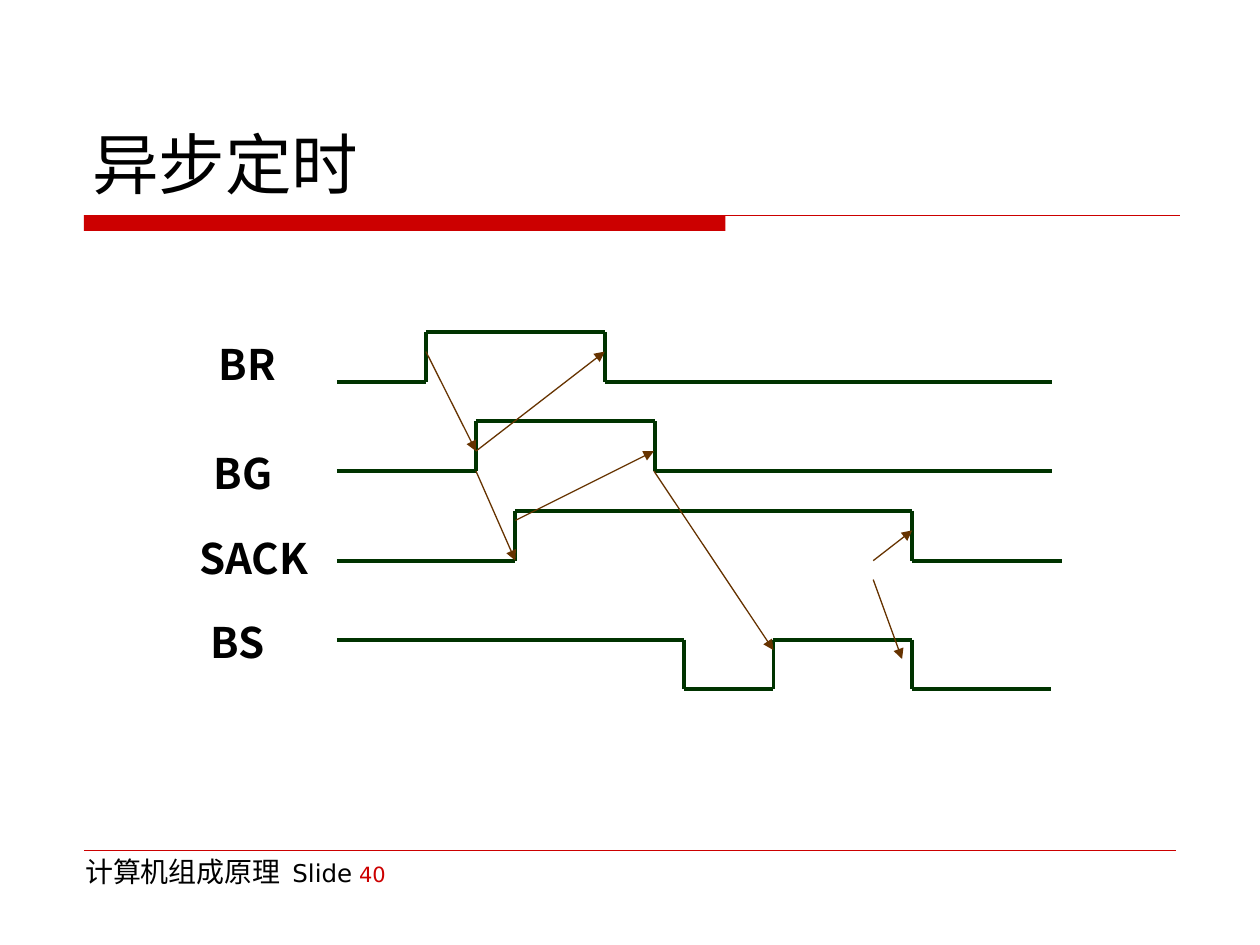
from itertools import pairwise

from lxml import etree
from pptx import Presentation
from pptx.dml.color import RGBColor
from pptx.enum.shapes import MSO_CONNECTOR as Connector, MSO_SHAPE as Shape
from pptx.enum.text import MSO_ANCHOR as Anchor, PP_ALIGN as Align
from pptx.oxml.ns import qn
from pptx.util import Pt

RED, GREEN, BROWN, BLACK = "CC0000", "003300", "663300", "000000"
SANS, CJK = "DejaVu Sans", "Noto Sans CJK SC"
SWING = 28.4  # height between the low and high signal levels

# name, label left, label top, low level, starts high, x of start, edges and end
SIGNALS = [
    ("BR", 79, 190, 218.3, False, (192.5, 243.4, 345.6, 601)),
    ("BG", 85, 252, 269.2, False, (192.5, 272, 374.4, 601)),
    ("SACK", 91, 301, 320.4, False, (192.5, 294.5, 521.3, 607)),
    ("BS", 73.5, 348.5, 393.9, True, (192.5, 391, 442, 521.3, 600.5)),
]
LABEL_WIDTH = {"BR": 124.6, "BG": 108, "SACK": 108, "BS": 124.6}
HANDSHAKES = [
    ((243.4, 200.9), (272, 257.8)),
    ((272, 269.2), (294.5, 320.4)),
    ((272, 257.8), (345.6, 200.9)),
    ((294.5, 297.4), (373.7, 257.8)),
    ((373.7, 269.2), (442, 371.5)),
    ((499, 320.4), (521.3, 303.1)),
    ((499, 331.2), (515.5, 376.6)),
]


def color(hex_code):
    return RGBColor.from_string(hex_code)


def add_line(page, start, end, hex_code, width, arrow=False):
    line = page.shapes.add_connector(
        Connector.STRAIGHT, *(Pt(value) for value in (*start, *end)))
    line.line.color.rgb = color(hex_code)
    line.line.width = Pt(width)
    if arrow:
        etree.SubElement(line.line._get_or_add_ln(), qn("a:tailEnd"), type="triangle")
    etree.SubElement(line._element.spPr, qn("a:effectLst"))


def add_span(para, text, size, font, hex_code=BLACK, bold=False):
    span = para.add_run()
    span.text = text
    span.font.size = Pt(size)
    span.font.name = font
    span.font.bold = bold
    span.font.color.rgb = color(hex_code)


def add_text_box(page, left, top, width, height):
    """Add a wrapping text box and return its first paragraph."""
    box = page.shapes.add_textbox(Pt(left), Pt(top), Pt(width), Pt(height))
    box.text_frame.word_wrap = True
    return box.text_frame.paragraphs[0]


def add_title(page, left, top, width, height):
    title = page.shapes.title
    title.left, title.top = Pt(left), Pt(top)
    title.width, title.height = Pt(width), Pt(height)
    title.text_frame.vertical_anchor = Anchor.BOTTOM
    para = title.text_frame.paragraphs[0]
    para.alignment = Align.LEFT
    add_span(para, "异步定时", 38, SANS)


def add_title_rule(page, left, top, width, height):
    bar = page.shapes.add_shape(
        Shape.RECTANGLE, Pt(left), Pt(top), Pt(width * 0.585), Pt(height))
    bar.shadow.inherit = False
    bar.fill.solid()
    bar.fill.fore_color.rgb = color(RED)
    bar.line.fill.background()
    add_line(page, (left, top), (left + width, top), RED, 0.75)


def add_footer(page, left, top, width):
    add_line(page, (left, top), (left + width, top), RED, 0.25)
    para = add_text_box(page, left - 6.4, top - 1.4, 216, 37.4)
    add_span(para, "计算机组成原理 ", 16, SANS)
    add_span(para, " Slide", 14, SANS)
    add_span(para, " ", 12, SANS)
    add_span(para, "40", 12, SANS, RED)


def add_signal(page, low, high, edges):
    """Draw a level for each interval and a vertical edge at each change."""
    level, other = (low - SWING, low) if high else (low, low - SWING)
    for start, end in pairwise(edges):
        if start != edges[0]:
            add_line(page, (start, other), (start, level), GREEN, 2.25)
        add_line(page, (start, level), (end, level), GREEN, 2.25)
        level, other = other, level


def add_timing_diagram(page):
    for name, left, top, low, high, edges in SIGNALS:
        para = add_text_box(page, left, top, LABEL_WIDTH[name], 36)
        para.alignment = Align.CENTER
        add_span(para, name, 24, CJK, bold=True)
        add_signal(page, low, high, edges)
    for start, end in HANDSHAKES:
        add_line(page, start, end, BROWN, 0.75, arrow=True)


def main():
    deck = Presentation()
    deck.slide_width, deck.slide_height = Pt(720), Pt(540)
    page = deck.slides.add_slide(deck.slide_layouts[5])
    add_title_rule(page, 48, 123, 626.5, 9)
    add_footer(page, 48, 486, 624)
    add_timing_diagram(page)
    add_title(page, 45.4, 23.8, 630, 95.8)
    deck.save("out.pptx")


if __name__ == "__main__":
    main()
